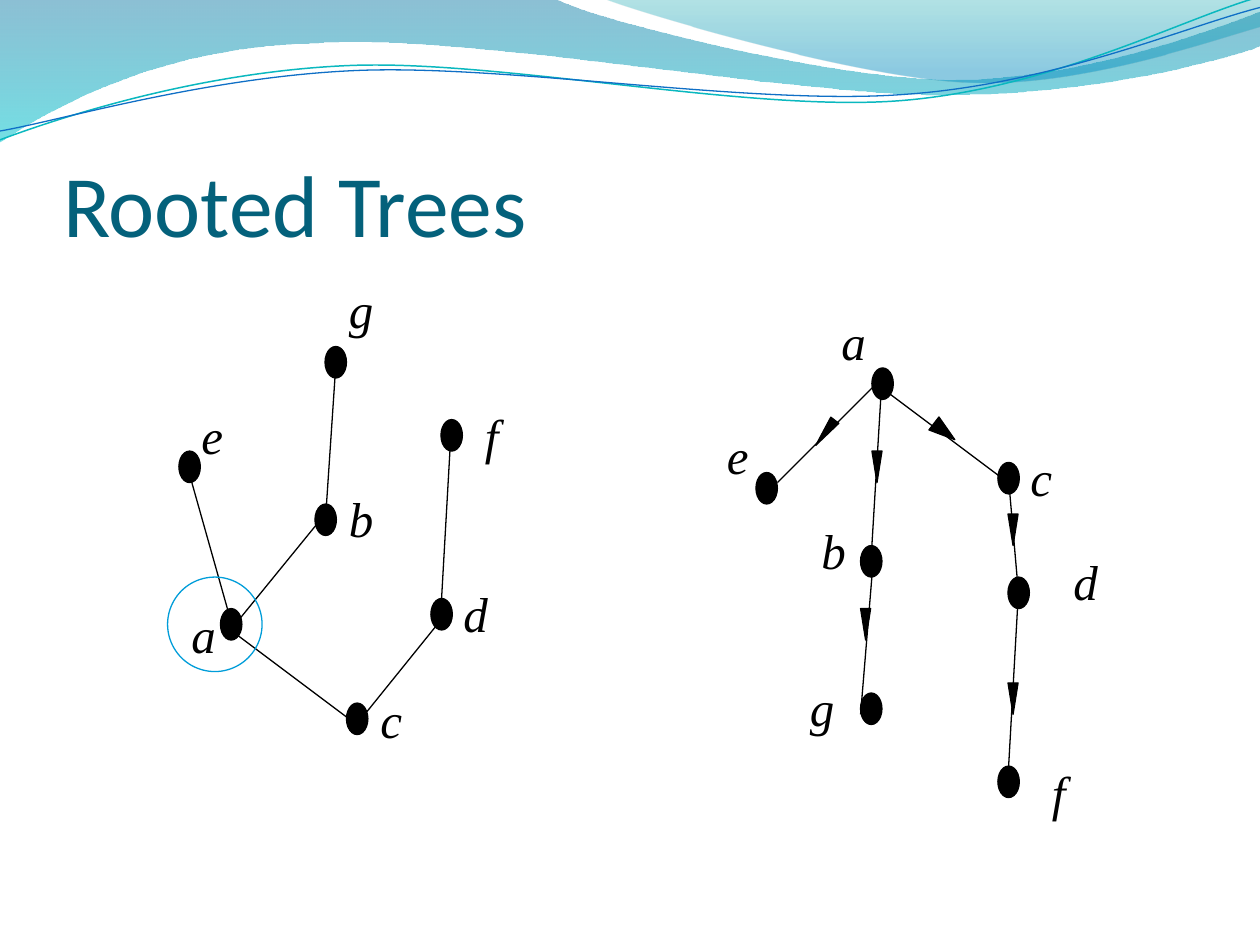
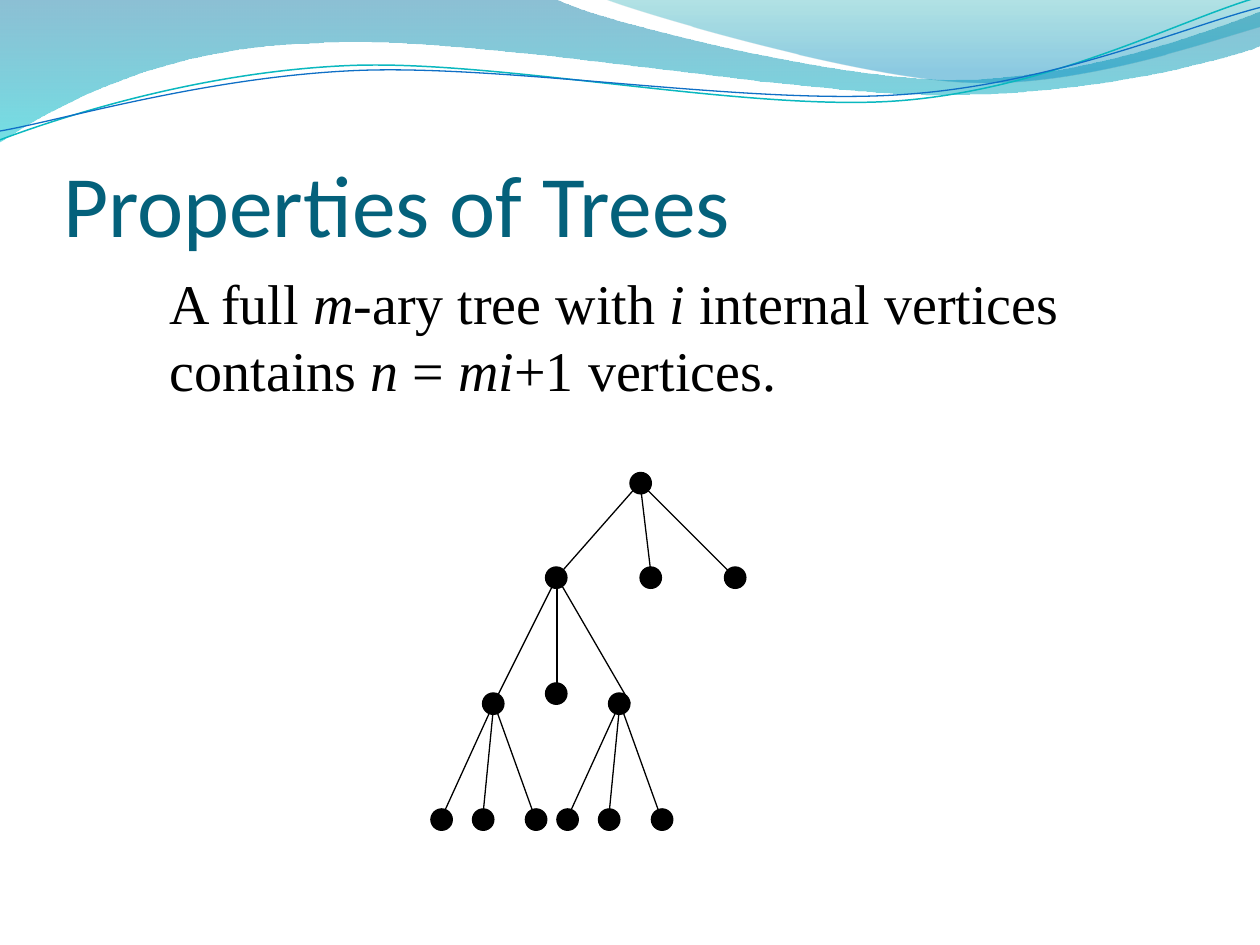
from dataclasses import dataclass
from math import cos, radians, sin

from pptx import Presentation
from pptx.dml.color import RGBColor
from pptx.enum.shapes import MSO_CONNECTOR, MSO_SHAPE
from pptx.enum.text import MSO_ANCHOR, MSO_AUTO_SIZE
from pptx.oxml.ns import qn
from pptx.util import Inches, Pt
from lxml import etree

ELLIPSE = MSO_SHAPE.OVAL
TRIANGLE = MSO_SHAPE.ISOSCELES_TRIANGLE
STRAIGHT = MSO_CONNECTOR.STRAIGHT
BOTTOM = MSO_ANCHOR.BOTTOM
GROW = MSO_AUTO_SIZE.SHAPE_TO_FIT_TEXT


@dataclass(frozen=True)
class Theme:
    ink: str = "000000"
    title: str = "04617B"
    ring: str = "009DD9"
    title_font: str = "Calibri"
    body_font: str = "Times New Roman"
    title_size: float = 50
    body_size: float = 32
    label_size: float = 28
    line_width: float = 0.75
    wave_tilt: float = 2.7


# Each outline is a start point followed by lines (one point) and Bézier curves (three points).
# Gradient stops are position, colour and opacity in percent.
BANDS = [
    ([(0, 0), [(4.4, -0.01)],
      [(4.76, 0.17), (6.64, 0.63), (7.58, 0.63)],
      [(8.53, 0.63), (9.58, 0.26), (10, 0.09)],
      [(10.01, 0.36)],
      [(9.83, 0.44), (8.7, 0.76), (7.46, 0.75)],
      [(6.22, 0.75), (3.82, 0.28), (2.57, 0.34)],
      [(1.29, 0.36), (0.46, 0.83), (-0.01, 1.13)],
      [(0, 0)]],
     [(0, "0074A1", 45), (100, "00C6CF", 55)]),
    ([(4.79, -0.01),
      [(5.09, 0.11), (6.82, 0.62), (7.69, 0.65)],
      [(8.56, 0.69), (9.61, 0.32), (10, 0.21)],
      [(10, 0)], [(4.79, -0.01)]],
     [(0, "00A1A9", 30), (80, "008BBF", 45)]),
]
# Outline as it lies on the slide, centre of its turn, colour and line width.
WAVES = [
    ([(0, 1.11),
      [(0.48, 0.93), (1.58, 0.57), (2.77, 0.52)],
      [(3.95, 0.47), (5.93, 0.89), (7.13, 0.8)],
      [(8.33, 0.71), (9.38, 0.15), (9.98, -0.02)]], (4.99, 0.58), "0AB8BF", 0.85),
    ([(0, 1.04),
      [(0.47, 0.96), (1.64, 0.61), (2.83, 0.56)],
      [(4.03, 0.51), (5.97, 0.84), (7.17, 0.75)],
      [(8.36, 0.67), (9.41, 0.21), (10, 0.06)]], (5, 0.59), "0F6FC6", 0.75),
]

# Vertex letter: left and top of the dot, then left and top of the label.
FREE_TREE = {
    "a": (1.75, 4.83, 1.42, 4.75), "b": (2.5, 4, 2.67, 3.83),
    "c": (2.75, 5.58, 2.92, 5.42), "d": (3.42, 4.75, 3.58, 4.58),
    "e": (1.42, 3.58, 1.5, 3.17), "f": (3.5, 3.33, 3.75, 3.17),
    "g": (2.58, 2.75, 2.67, 2.17),
}
FREE_EDGES = [
    (1.5, 3.75, 1.83, 4.92), (1.83, 5, 2.58, 4.08), (1.83, 5, 2.83, 5.75),
    (2.83, 5.75, 3.5, 4.92), (3.5, 4.83, 3.58, 3.42), (2.58, 4.17, 2.67, 2.83),
]
ROOTED_TREE = {
    "a": (6.92, 2.92, 6.58, 2.42), "b": (6.83, 4.33, 6.42, 4.08),
    "c": (7.92, 3.67, 8.08, 3.5), "d": (8, 4.58, 8.42, 4.33),
    "e": (6, 3.75, 5.67, 3.33), "f": (7.92, 6.08, 8.25, 6),
    "g": (6.83, 5.5, 6.33, 5.33),
}
ROOTED_EDGES = [
    (6.17, 3.83, 7, 3), (6.83, 5.67, 6.92, 4.58), (7, 3.08, 8, 3.83),
    (8, 6.17, 8.08, 4.75), (6.92, 4.33, 7, 3), (8, 3.75, 8.08, 4.67),
]
# Left, top, width, height and tilt away from pointing straight down.
ARROWS = [
    (6.92, 3.58, 0.08, 0.25, 0), (6.83, 4.83, 0.08, 0.25, 0),
    (8, 4.08, 0.08, 0.25, 0), (8, 5.42, 0.08, 0.25, 0),
    (6.51, 3.31, 0.08, 0.25, 37.2), (7.43, 3.32, 0.13, 0.21, -52.2),
]
LABEL_WIDTHS = {"c": 0.37, "e": 0.37, "f": 0.31}

# Parent point: ends of the edges to its children.
TERNARY_EDGES = {
    (5.08, 3.83): [(4.42, 4.58), (5.17, 4.58), (5.83, 4.58)],
    (4.42, 4.58): [(3.92, 5.58), (5, 5.58)],
    (4.42, 4.67): [(4.42, 5.58)],
    (3.92, 5.58): [(3.5, 6.5), (3.83, 6.5), (4.25, 6.5)],
    (4.92, 5.58): [(4.5, 6.5), (4.83, 6.5), (5.25, 6.5)],
}
# Top of each level: lefts of its dots.
TERNARY_LEVELS = {
    3.75: [5], 4.5: [4.33, 5.08, 5.75], 5.42: [4.33], 5.5: [3.83, 4.83],
    6.42: [3.42, 3.75, 4.17, 4.42, 4.75, 5.17],
}


def turn(point, center, degrees):
    """Turn a point clockwise around a centre."""
    x, y = point[0] - center[0], point[1] - center[1]
    cosine, sine = cos(radians(degrees)), sin(radians(degrees))
    return center[0] + x * cosine - y * sine, center[1] + x * sine + y * cosine


class TreeDeck:
    """Holds the theme and the slide being drawn."""

    def __init__(self, theme):
        self.theme = theme
        self.deck = Presentation()
        self.deck.slide_width, self.deck.slide_height = Inches(10), Inches(7.5)
        self.page = None

    def new_page(self, title):
        self.page = self.deck.slides.add_slide(self.deck.slide_layouts[6])
        for outline, stops in BANDS:
            self.band(outline, stops)
        for wave in WAVES:
            self.wave(*wave)
        self.title(title)

    def freeform(self, outline, close):
        """Draw an outline, joining each three-point segment into one Bézier curve."""
        start, *segments = outline
        points = [(Inches(x), Inches(y)) for x, y in [start, *sum(segments, [])]]
        builder = self.page.shapes.build_freeform(*points[0])
        builder.add_line_segments(points[1:], close=close)
        shape = builder.convert_to_shape()
        shape.shadow.inherit = False
        track = next(shape._element.spPr.iter(qn("a:path")))
        lines = iter(track.findall(qn("a:lnTo")))
        for segment in segments:
            first, *others = [next(lines) for _ in segment]
            if others:
                first.tag = qn("a:cubicBezTo")
            for line in others:
                first.append(line[0])
                track.remove(line)
        return shape

    def band(self, outline, stops):
        shape = self.freeform(outline, close=True)
        shape.line.fill.background()
        shape.fill.gradient()
        shape.fill.gradient_angle = 270
        for stop, (position, color, _) in zip(shape.fill.gradient_stops, stops):
            stop.position = position / 100
            stop.color.rgb = RGBColor.from_string(color)
        for tag, (_, _, opacity) in zip(shape._element.spPr.iter(qn("a:srgbClr")), stops):
            etree.SubElement(tag, qn("a:alpha")).set("val", str(opacity * 1000))

    def wave(self, outline, center, color, width):
        tilt = self.theme.wave_tilt
        start, *segments = outline
        level = [[turn(point, center, tilt) for point in segment] for segment in segments]
        shape = self.freeform([turn(start, center, tilt), *level], close=False)
        shape.rotation = -tilt
        shape.fill.background()
        self.stroke(shape, color, width)

    def stroke(self, shape, color, width):
        shape.line.color.rgb = RGBColor.from_string(color)
        shape.line.width = Pt(width)

    def text_box(self, left, top, width, height):
        return self.page.shapes.add_textbox(Inches(left), Inches(top), Inches(width), Inches(height))

    def style_font(self, font, name, size, color, italic=False):
        font.name, font.size, font.italic = name, Pt(size), italic
        font.color.rgb = RGBColor.from_string(color)

    def title(self, text):
        frame = self.text_box(0.5, 0.77, 9.08, 1.25).text_frame
        frame.word_wrap = True
        frame.vertical_anchor = BOTTOM
        frame.margin_left = frame.margin_right = frame.margin_bottom = 0
        frame.text = text
        self.style_font(frame.paragraphs[0].runs[0].font, self.theme.title_font,
                        self.theme.title_size, self.theme.title)

    def statement(self, spans):
        """Write spans that alternate between upright and italic."""
        frame = self.text_box(1.25, 2.08, 8.17, 1.17).text_frame
        frame.word_wrap = True
        frame.auto_size = GROW
        for index, text in enumerate(spans):
            span = frame.paragraphs[0].add_run()
            span.text = text
            self.style_font(span.font, self.theme.body_font, self.theme.body_size,
                            self.theme.ink, italic=index % 2 == 1)

    def label(self, letter, left, top):
        frame = self.text_box(left, top, LABEL_WIDTHS.get(letter, 0.4), 0.57).text_frame
        frame.word_wrap = False
        frame.auto_size = GROW
        frame.text = letter
        self.style_font(frame.paragraphs[0].runs[0].font, self.theme.body_font,
                        self.theme.label_size, self.theme.ink, italic=True)

    def solid(self, kind, left, top, width, height):
        shape = self.page.shapes.add_shape(kind, Inches(left), Inches(top),
                                           Inches(width), Inches(height))
        shape.shadow.inherit = False
        shape.fill.solid()
        shape.fill.fore_color.rgb = RGBColor.from_string(self.theme.ink)
        self.stroke(shape, self.theme.ink, self.theme.line_width)
        return shape

    def dot(self, left, top, height):
        self.solid(ELLIPSE, left, top, 0.17, height)

    def arrow(self, left, top, width, height, tilt):
        self.solid(TRIANGLE, left, top, width, height).rotation = 180 + tilt

    def ring(self, left, top, size):
        shape = self.solid(ELLIPSE, left, top, size, size)
        shape.fill.background()
        self.stroke(shape, self.theme.ring, self.theme.line_width)

    def edge(self, *ends):
        line = self.page.shapes.add_connector(STRAIGHT, *map(Inches, ends))
        self.stroke(line, self.theme.ink, self.theme.line_width)
        etree.SubElement(line._element.spPr, qn("a:effectLst"))

    def labelled_tree(self, vertices, edges):
        for left, top, _, _ in vertices.values():
            self.dot(left, top, 0.25)
        for ends in edges:
            self.edge(*ends)
        for letter, (_, _, left, top) in vertices.items():
            self.label(letter, left, top)


def main():
    trees = TreeDeck(Theme())

    trees.new_page("Rooted Trees")
    trees.labelled_tree(FREE_TREE, FREE_EDGES)
    trees.ring(1.33, 4.58, 0.75)
    trees.labelled_tree(ROOTED_TREE, ROOTED_EDGES)
    for arrow in ARROWS:
        trees.arrow(*arrow)

    trees.new_page("Properties of Trees")
    trees.statement(["A full ", "m", "-ary tree with ", "i", " internal vertices contains ",
                     "n ", "= ", "mi", "+1 vertices."])
    for top, lefts in TERNARY_LEVELS.items():
        for left in lefts:
            trees.dot(left, top, 0.17)
    for parent, children in TERNARY_EDGES.items():
        for child in children:
            trees.edge(*parent, *child)

    trees.deck.save("out.pptx")


if __name__ == "__main__":
    main()
